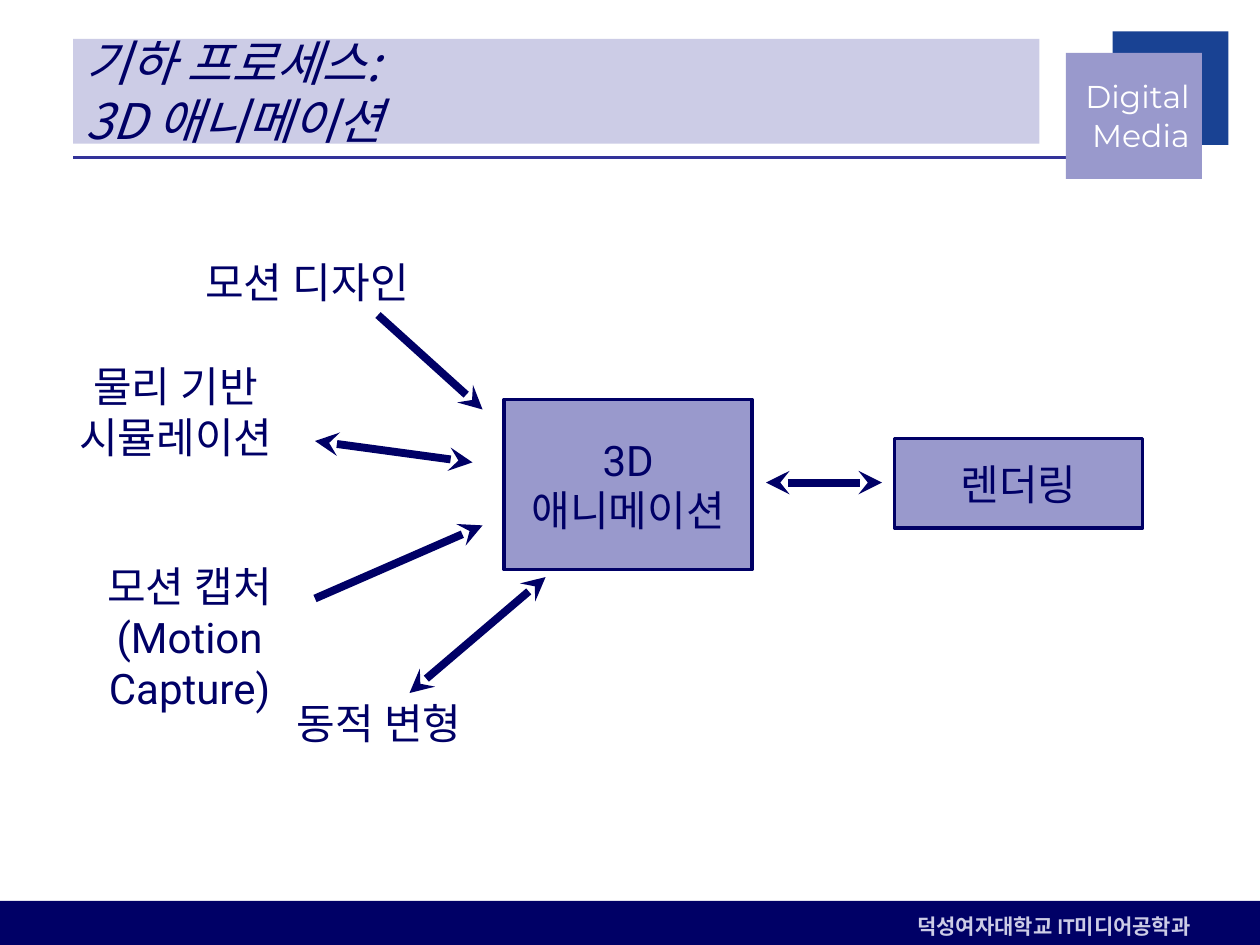
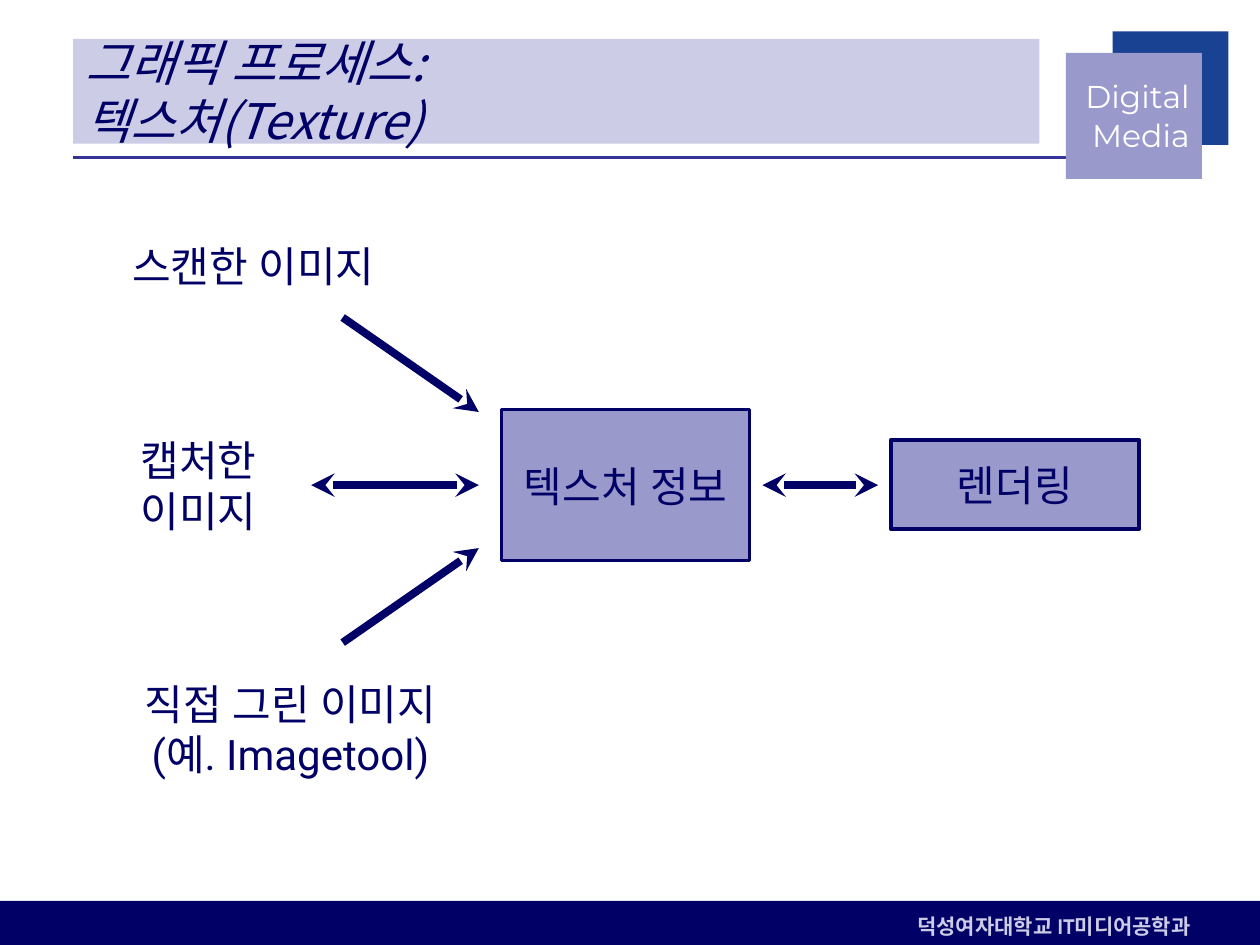
from dataclasses import dataclass

from lxml import etree
from pptx import Presentation
from pptx.dml.color import RGBColor
from pptx.enum.shapes import MSO_CONNECTOR, MSO_SHAPE
from pptx.enum.text import MSO_ANCHOR, PP_ALIGN
from pptx.oxml.ns import qn
from pptx.slide import Slide
from pptx.text.text import TextFrame
from pptx.util import Emu, Pt

RECTANGLE = MSO_SHAPE.RECTANGLE
STRAIGHT = MSO_CONNECTOR.STRAIGHT
LEFT, CENTER, RIGHT = PP_ALIGN.LEFT, PP_ALIGN.CENTER, PP_ALIGN.RIGHT
TOP, MIDDLE = MSO_ANCHOR.TOP, MSO_ANCHOR.MIDDLE

PX_PER_INCH = 100
SLIDE_WIDTH, SLIDE_HEIGHT = 1000, 750
NAVY, BLUE, INDIGO = "000066", "194293", "333399"
LAVENDER, PALE, WHITE = "9999CC", "CCCCE6", "FFFFFF"
NODE_WIDTH = 197


@dataclass(frozen=True)
class Area:
    left: int
    top: int
    width: int
    height: int


@dataclass(frozen=True)
class Style:
    face: str
    size: int
    leading: int
    color: str
    bold: bool = False
    italic: bool = False


@dataclass(frozen=True)
class Node:
    text: str
    left: int
    top: int
    height: int


@dataclass(frozen=True)
class Label:
    text: str
    area: Area
    align: PP_ALIGN = CENTER


@dataclass(frozen=True)
class Arrow:
    start: tuple[int, int]
    end: tuple[int, int]
    both_ways: bool = False


@dataclass(frozen=True)
class Diagram:
    title: str
    nodes: list[Node]
    labels: list[Label]
    arrows: list[Arrow]


TITLE_STYLE = Style("Noto Sans CJK KR", 28, 33, NAVY, italic=True)
BODY_STYLE = Style("Roboto", 24, 29, NAVY)
BADGE_STYLE = Style("Montserrat", 18, 22, WHITE)
FOOTER_STYLE = Style("Cabin", 12, 15, PALE, bold=True)

DIAGRAMS = [
    Diagram(
        "기하 프로세스:\v3D 애니메이션",
        [Node("3D\n애니메이션", 400, 317, 135), Node("렌더링", 710, 348, 71)],
        [
            Label("모션 디자인", Area(153, 198, 199, 51), LEFT),
            Label("물리 기반 시뮬레이션", Area(35, 281, 209, 91)),
            Label("모션 캡처\v(Motion\nCapture)", Area(68, 440, 165, 131)),
            Label("동적 변형", Area(218, 548, 166, 51)),
        ],
        [
            Arrow((608, 383), (700, 383), True),
            Arrow((325, 550), (433, 458), True),
            Arrow((250, 475), (383, 417)),
            Arrow((250, 350), (375, 367), True),
            Arrow((300, 250), (383, 325)),
        ],
    ),
    Diagram(
        "그래픽 프로세스:\v텍스처(Texture)",
        [Node("텍스처 정보", 398, 325, 120), Node("렌더링", 707, 349, 71)],
        [
            Label("스캔한 이미지", Area(95, 186, 233, 51), LEFT),
            Label("캡처한 이미지", Area(67, 340, 181, 91)),
            Label("직접 그린 이미지\v(예. Imagetool)", Area(92, 533, 277, 91)),
        ],
        [
            Arrow((605, 385), (697, 385), True),
            Arrow((272, 510), (380, 435)),
            Arrow((247, 385), (380, 385), True),
            Arrow((272, 252), (380, 327)),
        ],
    ),
]


def px(length: int) -> Emu:
    return Emu(length * 914400 // PX_PER_INCH)


def rgb(color: str) -> RGBColor:
    return RGBColor.from_string(color)


def place(area: Area) -> tuple[Emu, Emu, Emu, Emu]:
    return px(area.left), px(area.top), px(area.width), px(area.height)


def write(frame: TextFrame, text: str, style: Style, align: PP_ALIGN, anchor: MSO_ANCHOR) -> None:
    frame.text = text
    frame.word_wrap = True
    frame.vertical_anchor = anchor
    for para in frame.paragraphs:
        para.alignment = align
        para.line_spacing = Pt(style.leading)
        font = para.font
        font.name = style.face
        font.size = Pt(style.size)
        font.bold = style.bold
        font.italic = style.italic
        font.color.rgb = rgb(style.color)
        defaults = para._p.pPr.find(qn("a:defRPr"))
        etree.SubElement(defaults, qn("a:ea"), typeface=style.face)


def add_panel(page: Slide, area: Area, fill: str, outline: str | None = None) -> TextFrame:
    panel = page.shapes.add_shape(RECTANGLE, *place(area))
    panel.shadow.inherit = False
    panel.fill.solid()
    panel.fill.fore_color.rgb = rgb(fill)
    if outline:
        panel.line.color.rgb = rgb(outline)
        panel.line.width = Pt(2)
    else:
        panel.line.fill.background()
    return panel.text_frame


def add_text(page: Slide, area: Area, text: str, style: Style, align: PP_ALIGN, anchor: MSO_ANCHOR) -> None:
    box = page.shapes.add_textbox(*place(area))
    write(box.text_frame, text, style, align, anchor)


def add_line(
    page: Slide, start: tuple[int, int], end: tuple[int, int], color: str, width: float, tips: tuple[str, ...] = ()
) -> None:
    line = page.shapes.add_connector(STRAIGHT, *(px(value) for value in start + end))
    line.line.color.rgb = rgb(color)
    line.line.width = Pt(width)
    outline = line.line._get_or_add_ln()
    for tip in tips:
        etree.SubElement(outline, qn(tip), type="stealth")
    etree.SubElement(line._element.spPr, qn("a:effectLst"))


def add_frame(page: Slide, title: str) -> None:
    add_line(page, (58, 125), (850, 125), INDIGO, 2.25)
    add_panel(page, Area(0, 715, SLIDE_WIDTH, 35), NAVY)
    add_panel(page, Area(883, 25, 92, 90), BLUE)
    add_panel(page, Area(846, 42, 108, 100), LAVENDER)
    add_text(page, Area(842, 58, 112, 67), "Digital\vMedia", BADGE_STYLE, RIGHT, MIDDLE)
    footer = add_panel(page, Area(692, 720, 308, 30), NAVY)
    footer.margin_left = px(36)
    write(footer, "덕성여자대학교 IT미디어공학과", FOOTER_STYLE, LEFT, MIDDLE)
    heading = add_panel(page, Area(58, 31, 767, 83), PALE)
    write(heading, title, TITLE_STYLE, LEFT, MIDDLE)


def add_diagram(page: Slide, diagram: Diagram) -> None:
    add_frame(page, diagram.title)
    for node in diagram.nodes:
        frame = add_panel(page, Area(node.left, node.top, NODE_WIDTH, node.height), LAVENDER, NAVY)
        write(frame, node.text, BODY_STYLE, CENTER, MIDDLE)
    for label in diagram.labels:
        add_text(page, label.area, label.text, BODY_STYLE, label.align, TOP)
    for arrow in diagram.arrows:
        tips = ("a:headEnd", "a:tailEnd") if arrow.both_ways else ("a:tailEnd",)
        add_line(page, arrow.start, arrow.end, NAVY, 4.5, tips)


def main() -> None:
    deck = Presentation()
    deck.slide_width, deck.slide_height = px(SLIDE_WIDTH), px(SLIDE_HEIGHT)
    for diagram in DIAGRAMS:
        add_diagram(deck.slides.add_slide(deck.slide_layouts[6]), diagram)
    deck.save("out.pptx")


if __name__ == "__main__":
    main()
